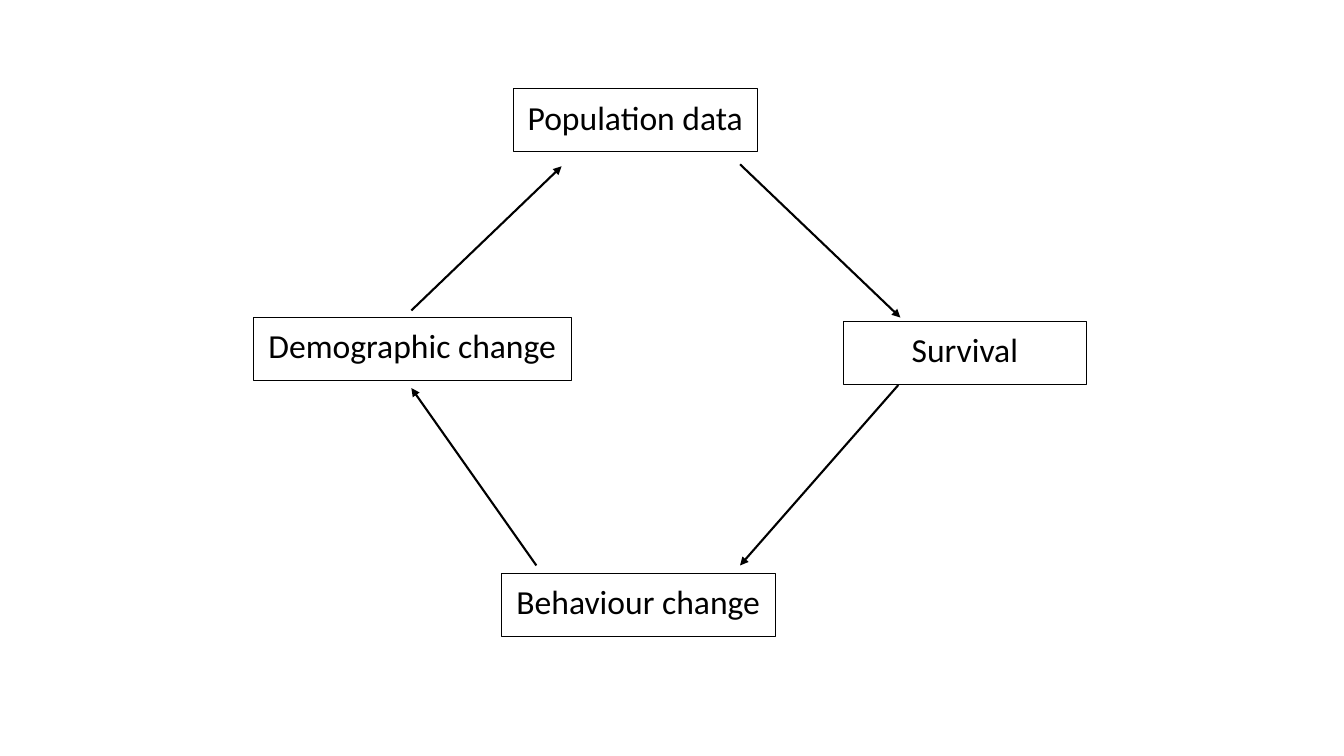
from lxml import etree
from pptx import Presentation
from pptx import util as u
from pptx.dml.color import RGBColor
from pptx.enum import shapes, text
from pptx.oxml.ns import qn

EMU_PER_PX = 9144  # 100 px to the inch
COLOURS = {"ink": "000000", "paper": "FFFFFF"}
FONT_FORMAT = {"name": "Calibri", "size": u.Pt(24)}
PARAGRAPH_FORMAT = {
    "alignment": text.PP_ALIGN.CENTER,
    "line_spacing": 1.07,
    "space_after": u.Pt(8),
}
FRAME_FORMAT = {"word_wrap": False, "vertical_anchor": text.MSO_ANCHOR.TOP}


def px(length):
    return u.Emu(length * EMU_PER_PX)


def colour(name):
    return RGBColor.from_string(COLOURS[name])


def apply_format(target, values):
    for name, value in values.items():
        setattr(target, name, value)


class CycleSlide:
    def __init__(self, presentation):
        self.slide = presentation.slides.add_slide(presentation.slide_layouts[6])

    def outline(self, line, width):
        line.color.rgb = colour("ink")
        line.width = u.Pt(width)

    def box(self, label, left, top, width, height=62):
        shape = self.slide.shapes.add_shape(
            shapes.MSO_SHAPE.RECTANGLE, px(left), px(top), px(width), px(height))
        shape.shadow.inherit = False
        shape.fill.solid()
        shape.fill.fore_color.rgb = colour("paper")
        self.outline(shape.line, 0.5)
        apply_format(shape.text_frame, FRAME_FORMAT)
        paragraph = shape.text_frame.paragraphs[0]
        paragraph.text = label
        apply_format(paragraph, PARAGRAPH_FORMAT)
        font = paragraph.runs[0].font
        apply_format(font, FONT_FORMAT)
        font.color.rgb = colour("ink")

    def arrow(self, start, end):
        connector = self.slide.shapes.add_connector(
            shapes.MSO_CONNECTOR.STRAIGHT, *map(px, start + end))
        self.outline(connector.line, 1.5)
        line = connector.line._get_or_add_ln()
        etree.SubElement(line, qn("a:tailEnd"), type="triangle")
        etree.SubElement(connector._element.spPr, qn("a:effectLst"))


def main():
    presentation = Presentation()
    presentation.slide_width, presentation.slide_height = px(1333), px(750)
    cycle = CycleSlide(presentation)

    # Stages of the cycle: label, left, top, width
    for stage in (
        ("Population data", 509, 88, 242),
        ("Survival", 836, 319, 242),
        ("Demographic change", 251, 315, 316),
        ("Behaviour change", 497, 569, 272),
    ):
        cycle.box(*stage)

    # Arrows clockwise from the top stage
    for start, end in (
        ((734, 163), (893, 315)),
        ((891, 382), (734, 561)),
        ((532, 561), (408, 385)),
        ((408, 308), (557, 165)),
    ):
        cycle.arrow(start, end)

    presentation.save("out.pptx")


if __name__ == "__main__":
    main()
